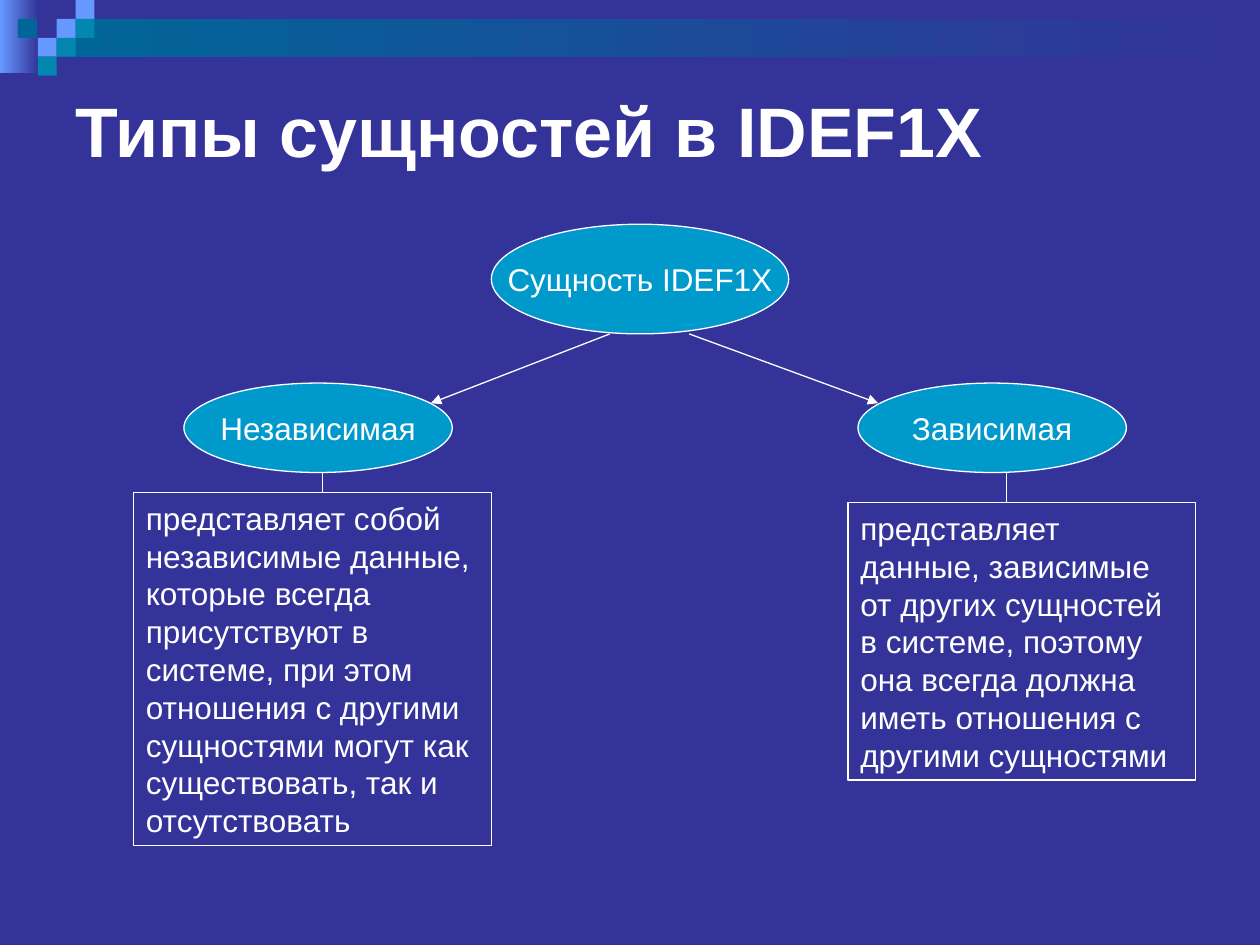
"""Builds the slide on the entity types of IDEF1X."""
from dataclasses import dataclass

from lxml import etree
from pptx import Presentation
from pptx.dml.color import RGBColor
from pptx.enum.shapes import MSO_CONNECTOR, MSO_SHAPE
from pptx.enum.text import MSO_ANCHOR, MSO_AUTO_SIZE, PP_ALIGN
from pptx.oxml.ns import qn
from pptx.util import Inches, Pt

RECTANGLE, OVAL = MSO_SHAPE.RECTANGLE, MSO_SHAPE.OVAL
STRAIGHT = MSO_CONNECTOR.STRAIGHT
TOP, MIDDLE = MSO_ANCHOR.TOP, MSO_ANCHOR.MIDDLE
LEFT, CENTER = PP_ALIGN.LEFT, PP_ALIGN.CENTER
NO_FIT, GROW = MSO_AUTO_SIZE.NONE, MSO_AUTO_SIZE.SHAPE_TO_FIT_TEXT


@dataclass(frozen=True)
class Theme:
    font: str = "Arial"
    title_size: int = 40
    body_size: int = 18
    line_width: float = 0.75
    background: str = "333399"
    ink: str = "FFFFFF"
    entity: str = "0099CC"
    sky: str = "6699FF"
    ocean: str = "006699"
    teal: str = "0386AF"


def color(value):
    return RGBColor.from_string(value)


def write_text(box, text, *, theme, size, bold=False, align=LEFT,
               anchor=TOP, wrap=True, fit=NO_FIT):
    frame = box.text_frame
    frame.word_wrap = wrap
    frame.auto_size = fit
    frame.vertical_anchor = anchor
    para = frame.paragraphs[0]
    para.alignment = align
    span = para.add_run()
    span.text = text
    span.font.name = theme.font
    span.font.size = Pt(size)
    span.font.bold = bold
    span.font.color.rgb = color(theme.ink)


class Painter:
    def __init__(self, page, theme):
        self.page = page
        self.theme = theme
        page.background.fill.solid()
        page.background.fill.fore_color.rgb = color(theme.background)

    def shape(self, kind, place):
        shape = self.page.shapes.add_shape(kind, *map(Inches, place))
        shape.shadow.inherit = False
        return shape

    def outline(self, line):
        line.color.rgb = color(self.theme.ink)
        line.width = Pt(self.theme.line_width)

    def tile(self, place, fill):
        tile = self.shape(RECTANGLE, place)
        tile.fill.solid()
        tile.fill.fore_color.rgb = color(fill)
        tile.line.fill.background()

    def fading_band(self, place, fill):
        band = self.shape(RECTANGLE, place)
        band.fill.gradient()
        band.fill.gradient_angle = 180
        for stop, value in zip(band.fill.gradient_stops, (self.theme.background, fill)):
            stop.color.rgb = color(value)
        band.line.fill.background()

    def title(self, place, text):
        box = self.page.shapes.add_textbox(*map(Inches, place))
        write_text(box, text, theme=self.theme, size=self.theme.title_size,
                   bold=True, anchor=MIDDLE)

    def entity(self, place, text):
        oval = self.shape(OVAL, place)
        oval.fill.solid()
        oval.fill.fore_color.rgb = color(self.theme.entity)
        self.outline(oval.line)
        write_text(oval, text, theme=self.theme, size=self.theme.body_size,
                   align=CENTER, anchor=MIDDLE, wrap=False)

    def description(self, place, text):
        box = self.shape(RECTANGLE, place)
        box.fill.background()
        self.outline(box.line)
        write_text(box, text, theme=self.theme, size=self.theme.body_size, fit=GROW)

    def line(self, start, end, arrow=False):
        line = self.page.shapes.add_connector(STRAIGHT, *map(Inches, (*start, *end)))
        self.outline(line.line)
        if arrow:
            etree.SubElement(line.line._get_or_add_ln(), qn("a:tailEnd"), type="triangle")
        etree.SubElement(line._element.spPr, qn("a:effectLst"))


def draw_header(painter):
    theme = painter.theme
    side = 0.15
    painter.fading_band((0, 0, 0.31, 0.58), theme.sky)
    painter.fading_band((0.45, side, 9.55, 2 * side), theme.ocean)
    tiles = [
        (3, 1, theme.sky), (4, 0, theme.sky), (4, 1, theme.teal),
        (2, 2, theme.sky), (0.95, 1, theme.ocean),
        (3, 2, theme.teal), (2, 3, theme.teal),
    ]
    for column, row, fill in tiles:
        painter.tile((column * side, row * side, side, side), fill)


def draw_entities(painter):
    painter.entity((3.9, 1.78, 2.36, 0.87), "Сущность IDEF1X")
    painter.entity((6.81, 3.04, 2.13, 0.71), "Зависимая")
    painter.entity((1.46, 3.04, 2.13, 0.71), "Независимая")
    painter.line((4.84, 2.65), (3.42, 3.2), arrow=True)
    painter.line((5.47, 2.65), (6.97, 3.2), arrow=True)
    painter.description(
        (1.06, 3.91, 2.84, 2.8),
        "представляет собой независимые данные, которые всегда присутствуют "
        "в системе, при этом отношения с другими сущностями могут как "
        "существовать, так и отсутствовать")
    painter.description(
        (6.73, 3.99, 2.76, 2.2),
        "представляет данные, зависимые от других сущностей в системе, "
        "поэтому она всегда должна иметь отношения с другими сущностями")
    painter.line((2.56, 3.75), (2.56, 3.91))
    painter.line((7.99, 3.75), (7.99, 3.99))


def main():
    deck = Presentation()
    deck.slide_width, deck.slide_height = Inches(10), Inches(7.5)
    painter = Painter(deck.slides.add_slide(deck.slide_layouts[6]), Theme())
    draw_header(painter)
    painter.title((0.5, 0.5, 9, 1.05), "Типы сущностей в IDEF1X")
    draw_entities(painter)
    deck.save("out.pptx")


if __name__ == "__main__":
    main()
